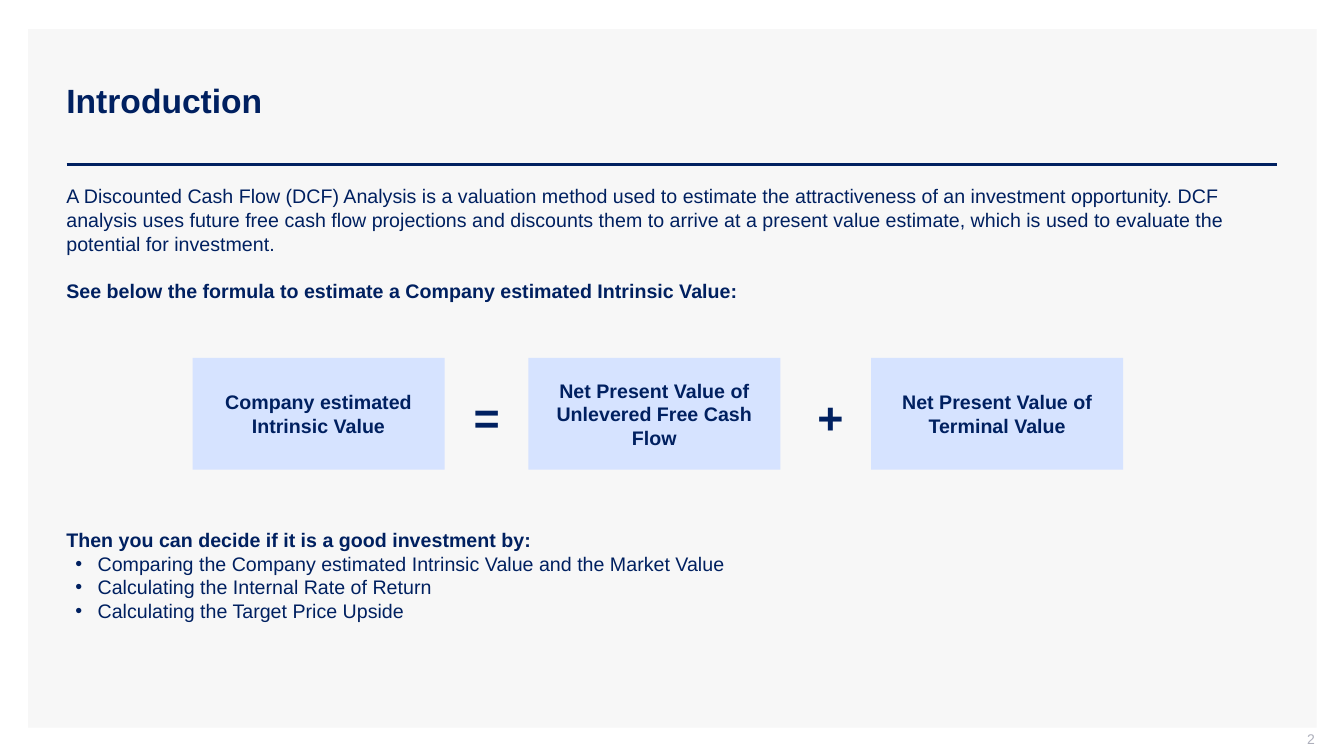
import pptx
import pptx.util
import pptx.dml.color
import pptx.enum.shapes
import pptx.enum.text
import pptx.oxml.ns
import lxml.etree

RGB = pptx.dml.color.RGBColor
NAVY = RGB(0x00, 0x20, 0x60)
PALE = RGB(0xD6, 0xE3, 0xFF)
GRAY = RGB(0xF7, 0xF7, 0xF7)
DIM = RGB(0xAD, 0xAF, 0xBB)
ALIGN = pptx.enum.text.PP_ALIGN
ANCHOR = pptx.enum.text.MSO_ANCHOR
RECT = pptx.enum.shapes.MSO_SHAPE.RECTANGLE
LINE = pptx.enum.shapes.MSO_CONNECTOR.STRAIGHT

TITLE = "Introduction"
PAGE = "2"
INTRO = [
    {"text": "A Discounted Cash Flow (DCF) Analysis is a valuation method used to "
             "estimate the attractiveness of an investment opportunity. DCF analysis "
             "uses future free cash flow projections and discounts them to arrive at a "
             "present value estimate, which is used to evaluate the potential for "
             "investment."},
    {"text": "See below the formula to estimate a Company estimated Intrinsic Value:",
     "bold": True, "gap": 17},
]
TERMS = [
    (191, "Company estimated Intrinsic Value"),
    (524, "Net Present Value of Unlevered Free Cash Flow"),
    (864, "Net Present Value of Terminal Value"),
]
SIGNS = [(460, "="), (801, "+")]
STEPS = [
    {"text": "Then you can decide if it is a good investment by:", "bold": True},
    {"text": "Comparing the Company estimated Intrinsic Value and the Market Value",
     "dot": True},
    {"text": "Calculating the Internal Rate of Return", "dot": True},
    {"text": "Calculating the Target Price Upside", "dot": True},
]


def px(n):
    return pptx.util.Emu(n * 9144)


def put(item, vals):
    for name, val in vals.items():
        setattr(item, name, val)


def add_dot(para):
    props = para._p.get_or_add_pPr()
    props.set("marL", str(px(31)))
    props.set("indent", str(px(-22)))
    tag = pptx.oxml.ns.qn
    lxml.etree.SubElement(props, tag("a:buFont")).set("typeface", "Arial")
    lxml.etree.SubElement(props, tag("a:buChar")).set("char", "•")


def write(shape, paras, size=14, color=NAVY, align=ALIGN.LEFT,
          anchor=ANCHOR.TOP, pad=(10, 5, 10, 5)):
    frame = shape.text_frame
    left, top, right, low = map(px, pad)
    put(frame, {"word_wrap": True, "vertical_anchor": anchor,
                "margin_left": left, "margin_top": top,
                "margin_right": right, "margin_bottom": low})
    for i, item in enumerate(paras):
        para = frame.add_paragraph() if i else frame.paragraphs[0]
        put(para, {"alignment": align,
                   "space_before": pptx.util.Pt(item.get("gap", 0))})
        if item.get("dot"):
            add_dot(para)
        run = para.add_run()
        run.text = item["text"]
        put(run.font, {"name": "Arial", "size": pptx.util.Pt(size),
                       "bold": item.get("bold", False)})
        run.font.color.rgb = color


def add_box(slide, place, fill):
    box = slide.shapes.add_shape(RECT, *map(px, place))
    box.shadow.inherit = False
    box.fill.solid()
    box.fill.fore_color.rgb = fill
    box.line.fill.background()
    return box


def add_text(slide, place, paras, **form):
    write(slide.shapes.add_textbox(*map(px, place)), paras, **form)


def add_rule(slide, ends):
    rule = slide.shapes.add_connector(LINE, *map(px, ends))
    rule.line.color.rgb = NAVY
    rule.line.width = pptx.util.Pt(2)
    props = rule._element.spPr
    lxml.etree.SubElement(props, pptx.oxml.ns.qn("a:effectLst"))


def main():
    deck = pptx.Presentation()
    put(deck, {"slide_width": px(1333), "slide_height": px(750)})
    slide = deck.slides.add_slide(deck.slide_layouts[6])

    add_box(slide, (28, 29, 1278, 693), GRAY)
    add_rule(slide, (66, 163, 1267, 163))
    add_text(slide, (56, 40, 1211, 119), [{"text": TITLE, "bold": True}],
             size=24, anchor=ANCHOR.MIDDLE)
    add_text(slide, (1004, 725, 300, 21), [{"text": PAGE}], size=10, color=DIM,
             align=ALIGN.RIGHT, anchor=ANCHOR.MIDDLE, pad=(10, 0, 0, 5))
    add_text(slide, (56, 178, 1221, 151), INTRO)
    for left, text in TERMS:
        box = add_box(slide, (left, 355, 250, 111), PALE)
        write(box, [{"text": text, "bold": True}], align=ALIGN.CENTER,
              anchor=ANCHOR.MIDDLE, pad=(10, 10, 10, 10))
    for left, text in SIGNS:
        add_text(slide, (left, 382, 44, 64), [{"text": text, "bold": True}], size=32)
    add_text(slide, (56, 496, 1221, 199), STEPS, pad=(10, 28, 10, 5))
    deck.save("out.pptx")


if __name__ == "__main__":
    main()
